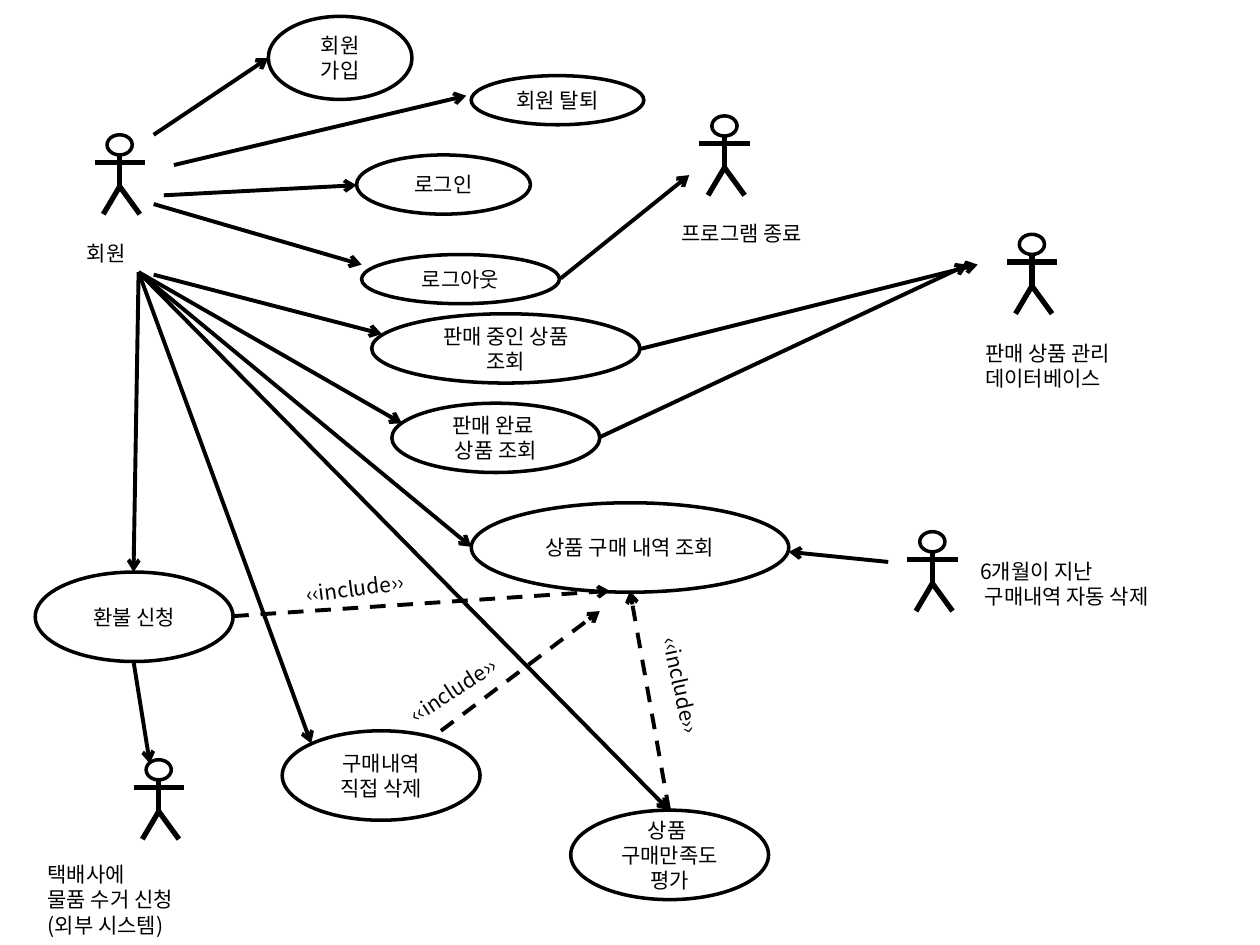
from typing import NamedTuple

from lxml import etree
from pptx import Presentation
from pptx.dml.color import RGBColor
from pptx.enum.dml import MSO_LINE
from pptx.enum.shapes import MSO_CONNECTOR, MSO_SHAPE
from pptx.enum.text import MSO_ANCHOR, PP_ALIGN
from pptx.oxml.ns import qn
from pptx.util import Inches, Pt

BLACK = RGBColor(0, 0, 0)
WHITE = RGBColor(255, 255, 255)
FONT = "Noto Sans CJK KR"
OVAL = MSO_SHAPE.OVAL
STRAIGHT = MSO_CONNECTOR.STRAIGHT
DASH = MSO_LINE.DASH
CENTER, LEFT = PP_ALIGN.CENTER, PP_ALIGN.LEFT
MIDDLE = MSO_ANCHOR.MIDDLE


class UseCase(NamedTuple):
    text: str
    left: float
    top: float
    width: float
    height: float


class Actor(NamedTuple):
    center: float
    top: float


class Label(NamedTuple):
    text: str
    left: float
    top: float
    width: float
    rotation: float = 0


class Arrow(NamedTuple):
    start: tuple[float, float]
    end: tuple[float, float]
    dashed: bool = False


USE_CASES = [
    UseCase("회원 가입", 2.13, 0.13, 1.14, 0.66),
    UseCase("회원 탈퇴", 3.74, 0.6, 1.37, 0.39),
    UseCase("로그인", 2.83, 1.23, 1.38, 0.47),
    UseCase("로그아웃", 2.87, 2.02, 1.57, 0.39),
    UseCase("판매 중인 상품 조회", 2.95, 2.49, 2.13, 0.55),
    UseCase("판매 완료 \n상품 조회", 3.11, 3.2, 1.65, 0.55),
    UseCase("상품 구매 내역 조회", 3.74, 3.99, 2.52, 0.71),
    UseCase("환불 신청", 0.28, 4.54, 1.57, 0.71),
    UseCase("구매내역\n직접 삭제", 2.24, 5.8, 1.57, 0.71),
    UseCase("상품 \n구매만족도 평가", 4.53, 6.43, 1.57, 0.71),
]

ACTORS = [
    Actor(0.95, 1.07),
    Actor(5.75, 0.92),
    Actor(8.19, 1.86),
    Actor(7.4, 4.22),
    Actor(1.26, 6.03),
]

LABELS = [
    Label("회원", 0.59, 1.86, 1.02),
    Label("프로그램 종료", 5.31, 1.7, 2.28),
    Label("판매 상품 관리\n데이터베이스", 7.72, 2.65, 2.28),
    Label("6개월이 지난\n 구매내역 자동 삭제", 7.68, 4.38, 1.89),
    Label("택배사에\n물품 수거 신청\n(외부 시스템)", 0.28, 6.79, 2.28),
    Label("‹‹include››", 2.33, 4.51, 1.1, 352.8),
    Label("‹‹include››", 3.1, 5.29, 1.1, 326.9),
    Label("‹‹include››", 4.87, 5.35, 1.1, 77.8),
]

MEMBER = (1.1, 2.16)
ARROWS = [
    Arrow((1.22, 1.07), (2.13, 0.46)),
    Arrow((1.38, 1.31), (3.7, 0.76)),
    Arrow((1.3, 1.55), (2.83, 1.47)),
    Arrow((1.22, 1.62), (2.87, 2.1)),
    Arrow((1.22, 2.18), (3.03, 2.65)),
    Arrow(MEMBER, (3.19, 3.36)),
    Arrow(MEMBER, (3.74, 4.34)),
    Arrow(MEMBER, (1.06, 4.54)),
    Arrow(MEMBER, (2.47, 5.9)),
    Arrow(MEMBER, (5.31, 6.43)),
    Arrow((4.45, 2.21), (5.47, 1.39)),
    Arrow((5.08, 2.77), (7.76, 2.1)),
    Arrow((4.76, 3.47), (7.68, 2.1)),
    Arrow((7.05, 4.46), (6.26, 4.38)),
    Arrow((1.06, 5.25), (1.19, 6.06)),
    Arrow((1.85, 4.89), (4.84, 4.69), True),
    Arrow((3.5, 5.8), (4.76, 4.85), True),
    Arrow((5.31, 6.43), (5, 4.69), True),
]


def write_text(tf, text: str, align) -> None:
    tf.word_wrap = True
    tf.text = text
    for p in tf.paragraphs:
        p.alignment = align
        p.line_spacing = Pt(14.4)
        p.font.size = Pt(12)
        p.font.name = FONT
        p.font.color.rgb = BLACK
        for r in p.runs:
            etree.SubElement(r.font._element, qn("a:ea"), typeface=FONT)


def add_oval(shapes, left: float, top: float, width: float, height: float):
    sp = shapes.add_shape(OVAL, Inches(left), Inches(top), Inches(width), Inches(height))
    sp.shadow.inherit = False
    sp.fill.solid()
    sp.fill.fore_color.rgb = WHITE
    sp.line.color.rgb = BLACK
    sp.line.width = Pt(2)
    return sp


def add_line(shapes, start: tuple[float, float], end: tuple[float, float], points: float):
    line = shapes.add_connector(STRAIGHT, *map(Inches, start + end))
    line.line.color.rgb = BLACK
    line.line.width = Pt(points)
    etree.SubElement(line._element.spPr, qn("a:effectLst"))
    return line


def add_use_case(shapes, case: UseCase) -> None:
    sp = add_oval(shapes, case.left, case.top, case.width, case.height)
    sp.text_frame.vertical_anchor = MIDDLE
    write_text(sp.text_frame, case.text, CENTER)


def add_actor(shapes, actor: Actor) -> None:
    """Stick figure hanging from the centre top of its head."""
    x, y = actor
    parts = shapes.add_group_shape().shapes
    add_oval(parts, x - 0.1, y, 0.2, 0.16)
    neck, hip = (x, y + 0.16), (x, y + 0.41)
    add_line(parts, (x - 0.2, y + 0.22), (x + 0.2, y + 0.22), 3)
    add_line(parts, neck, hip, 3)
    for foot in (-0.13, 0.16):
        add_line(parts, hip, (x + foot, y + 0.63), 3)


def add_label(shapes, label: Label) -> None:
    height = 0.1 + 0.2 * len(label.text.split("\n"))
    box = shapes.add_textbox(
        Inches(label.left), Inches(label.top), Inches(label.width), Inches(height))
    box.rotation = label.rotation
    write_text(box.text_frame, label.text, LEFT)


def add_arrow(shapes, arrow: Arrow) -> None:
    line = add_line(shapes, arrow.start, arrow.end, 2.25)
    if arrow.dashed:
        line.line.dash_style = DASH
    etree.SubElement(line.line._get_or_add_ln(), qn("a:tailEnd"), type="arrow")


def main() -> None:
    prs = Presentation()
    prs.slide_width, prs.slide_height = Inches(10), Inches(7.5)
    shapes = prs.slides.add_slide(prs.slide_layouts[6]).shapes
    for add, items in (
        (add_use_case, USE_CASES),
        (add_actor, ACTORS),
        (add_arrow, ARROWS),
        (add_label, LABELS),
    ):
        for item in items:
            add(shapes, item)
    prs.save("out.pptx")


if __name__ == "__main__":
    main()
